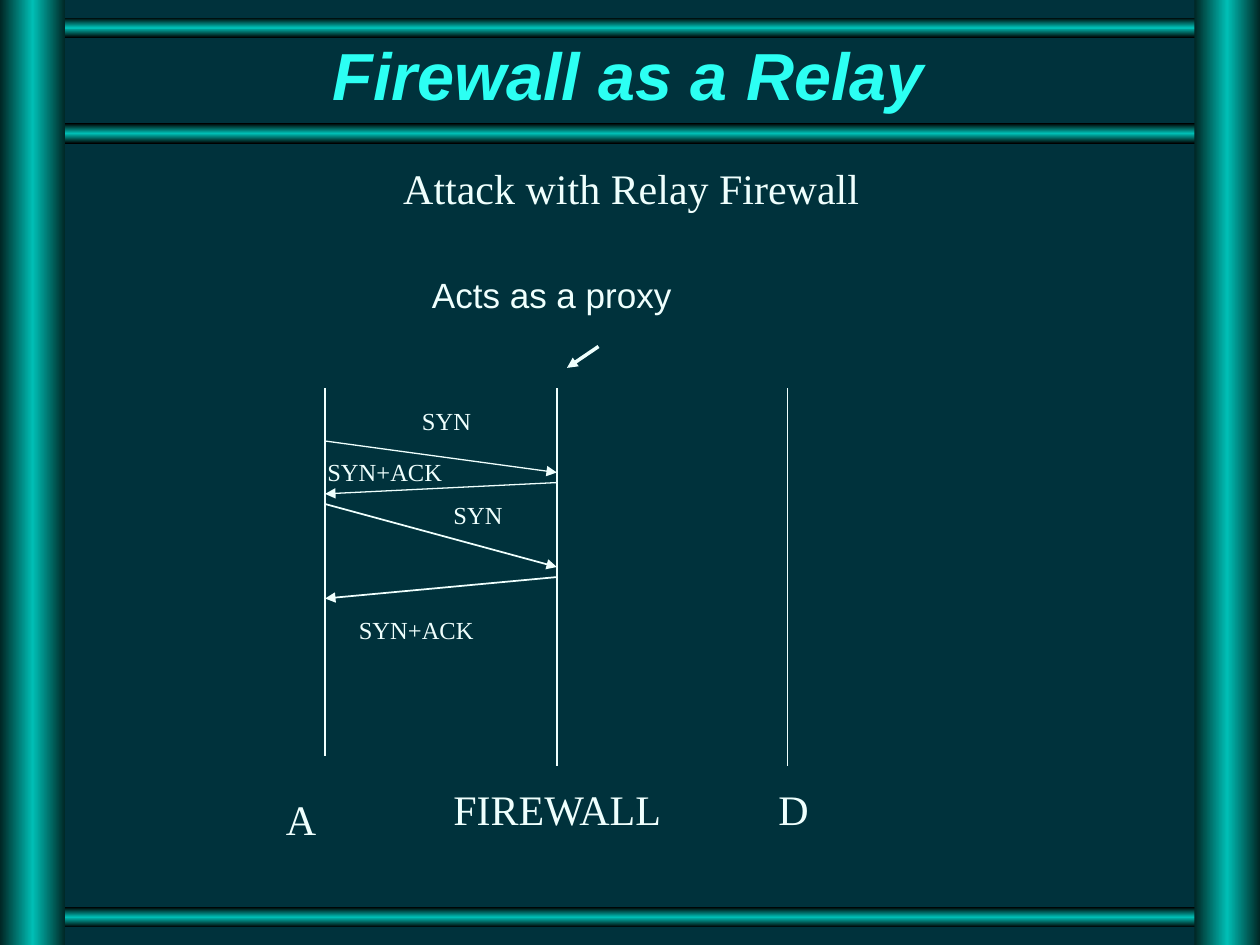
from copy import deepcopy

from lxml import etree
from pptx import Presentation
from pptx.dml.color import RGBColor
from pptx.enum import shapes, text
from pptx.oxml.ns import qn
from pptx.util import Inches, Pt

BACKGROUND, TEAL, CYAN, PALE = "00323C", "00BEB5", "2CFFF3", "EFFFFD"
SERIF, SANS = "Times New Roman", "Arial"
HOST_A, FIREWALL, HOST_D = 2.58, 4.42, 6.25


def rgb(value):
    """Turn a hex string into a colour."""
    return RGBColor.from_string(value)


def add_bar(slide, left, top, width, height, edge, angle):
    """Add a bar that glows along its middle."""
    shape = slide.shapes.add_shape(
        shapes.MSO_SHAPE.RECTANGLE, Inches(left), Inches(top), Inches(width), Inches(height))
    shape.shadow.inherit = False
    shape.line.fill.background()
    shape.fill.gradient()
    shape.fill.gradient_angle = angle
    stops = shape._element.spPr.find(".//" + qn("a:gsLst"))
    stops.insert(1, deepcopy(stops[0]))
    for stop, position, color in zip(shape.fill.gradient_stops, (0, 0.5, 1), (edge, TEAL, edge)):
        stop.position = position
        stop.color.rgb = rgb(color)


def style_paragraph(paragraph, size, font, color):
    """Set the font of a whole paragraph."""
    paragraph.font.size = Pt(size)
    paragraph.font.name = font
    paragraph.font.color.rgb = rgb(color)


def set_title(slide, words):
    """Fill and place the title, with a shadow behind its letters."""
    title = slide.shapes.title
    title.left, title.top, title.width, title.height = map(Inches, (0.5, 0.25, 8.98, 0.77))
    frame = title.text_frame
    frame.text = words
    frame.auto_size = text.MSO_AUTO_SIZE.NONE
    frame.vertical_anchor = text.MSO_ANCHOR.MIDDLE
    paragraph = frame.paragraphs[0]
    paragraph.alignment = text.PP_ALIGN.CENTER
    paragraph.line_spacing = 0.87
    style_paragraph(paragraph, 38, SANS, CYAN)
    paragraph.font.bold = paragraph.font.italic = True
    properties = paragraph.runs[0]._r.get_or_add_rPr()
    effects = etree.SubElement(properties, qn("a:effectLst"))
    shadow = etree.SubElement(effects, qn("a:outerShdw"), dist=str(Pt(4)), dir="2700000")
    etree.SubElement(shadow, qn("a:srgbClr"), val="000000")


def add_label(slide, words, left, top, width, height, size, font=SERIF):
    """Add a line of text and return its paragraph."""
    frame = slide.shapes.add_textbox(
        Inches(left), Inches(top), Inches(width), Inches(height)).text_frame
    frame.word_wrap = True
    frame.text = words
    paragraph = frame.paragraphs[0]
    paragraph.space_before = Pt(size * 0.625)
    style_paragraph(paragraph, size, font, PALE)
    return paragraph


def style_line(shape, weight, arrow):
    """Colour a line and give it an arrowhead if asked."""
    shape.line.color.rgb = rgb(PALE)
    shape.line.width = Pt(weight)
    if arrow:
        etree.SubElement(shape.line._get_or_add_ln(), qn("a:tailEnd"), type="triangle")


def add_line(slide, start, end, weight=0.75, arrow=True):
    """Add a straight line between two points."""
    line = slide.shapes.add_connector(
        shapes.MSO_CONNECTOR.STRAIGHT, *map(Inches, (*start, *end)))
    style_line(line, weight, arrow)
    etree.SubElement(line._element.spPr, qn("a:effectLst"))


def curve_points(start, curves, steps=8):
    """Return points along a chain of cubic curves."""
    points = [start]
    for first, second, end in curves:
        origin = points[-1]
        for step in range(1, steps + 1):
            t = step / steps
            weights = ((1 - t) ** 3, 3 * t * (1 - t) ** 2, 3 * t * t * (1 - t), t ** 3)
            points.append(tuple(
                sum(weight * value for weight, value in zip(weights, values))
                for values in zip(origin, first, second, end)))
    return points


def add_squiggle(slide, points):
    """Add an open curved arrow through the points."""
    builder = slide.shapes.build_freeform(*points[0], scale=Inches(1))
    builder.add_line_segments(points[1:], close=False)
    shape = builder.convert_to_shape()
    shape.shadow.inherit = False
    shape.fill.background()
    style_line(shape, 2, True)


def main():
    """Build the slide and save it."""
    presentation = Presentation()
    presentation.slide_width, presentation.slide_height = Inches(10), Inches(7.5)
    slide = presentation.slides.add_slide(presentation.slide_layouts[5])
    slide.background.fill.solid()
    slide.background.fill.fore_color.rgb = rgb(BACKGROUND)

    for top in (7.2, 0.14, 0.98):
        add_bar(slide, 0, top, 10, 0.16, "000000", 90)
    for left in (0, 9.48):
        add_bar(slide, left, 0, 0.52, 7.5, "002624", 0)

    set_title(slide, "Firewall as a Relay")
    subtitle = add_label(slide, "Attack with Relay Firewall", 0.49, 1.24, 9.04, 0.5, 24)
    subtitle.alignment = text.PP_ALIGN.CENTER
    add_label(slide, "Acts as a proxy", 3.33, 2.17, 2.83, 0.39, 20, SANS).line_spacing = 0.85
    add_line(slide, (4.75, 2.75), (4.5, 2.92), 2)

    for x, bottom in ((HOST_A, 6), (FIREWALL, 6.08), (HOST_D, 6.08)):
        add_line(slide, (x, 3.08), (x, bottom), arrow=False)
    for words, left, top, width in (
            ("A", 2.17, 6.25, 0.83), ("FIREWALL", 3.5, 6.17, 1.92), ("D", 6.08, 6.17, 1)):
        add_label(slide, words, left, top, width, 0.5, 24)

    for origin, start, target, end, weight in (
            (HOST_A, 3.5, FIREWALL, 3.75, 0.75), (FIREWALL, 3.83, HOST_A, 3.92, 0.75),
            (HOST_A, 4, FIREWALL, 4.5, 1), (FIREWALL, 4.58, HOST_A, 4.75, 1)):
        add_line(slide, (origin, start), (target, end), weight)
    for words, left, top, width in (
            ("SYN", 3.25, 3.17, 0.92), ("SYN+ACK", 2.5, 3.58, 2),
            ("SYN", 3.5, 3.92, 0.92), ("SYN+ACK", 2.75, 4.83, 2)):
        add_label(slide, words, left, top, width, 0.34, 14)

    add_squiggle(slide, curve_points((2.6, 4.79), (
        ((2.61, 4.83), (2.59, 4.88), (2.62, 4.9)),
        ((2.64, 4.93), (2.68, 4.89), (2.71, 4.89)),
        ((2.73, 4.89), (2.75, 4.9), (2.76, 4.9)),
        ((2.76, 4.95), (2.76, 5), (2.75, 5.05)),
        ((2.74, 5.06), (2.72, 5.06), (2.71, 5.08)),
        ((2.7, 5.19), (2.71, 5.18), (2.76, 5.18)))))
    presentation.save("out.pptx")


if __name__ == "__main__":
    main()
